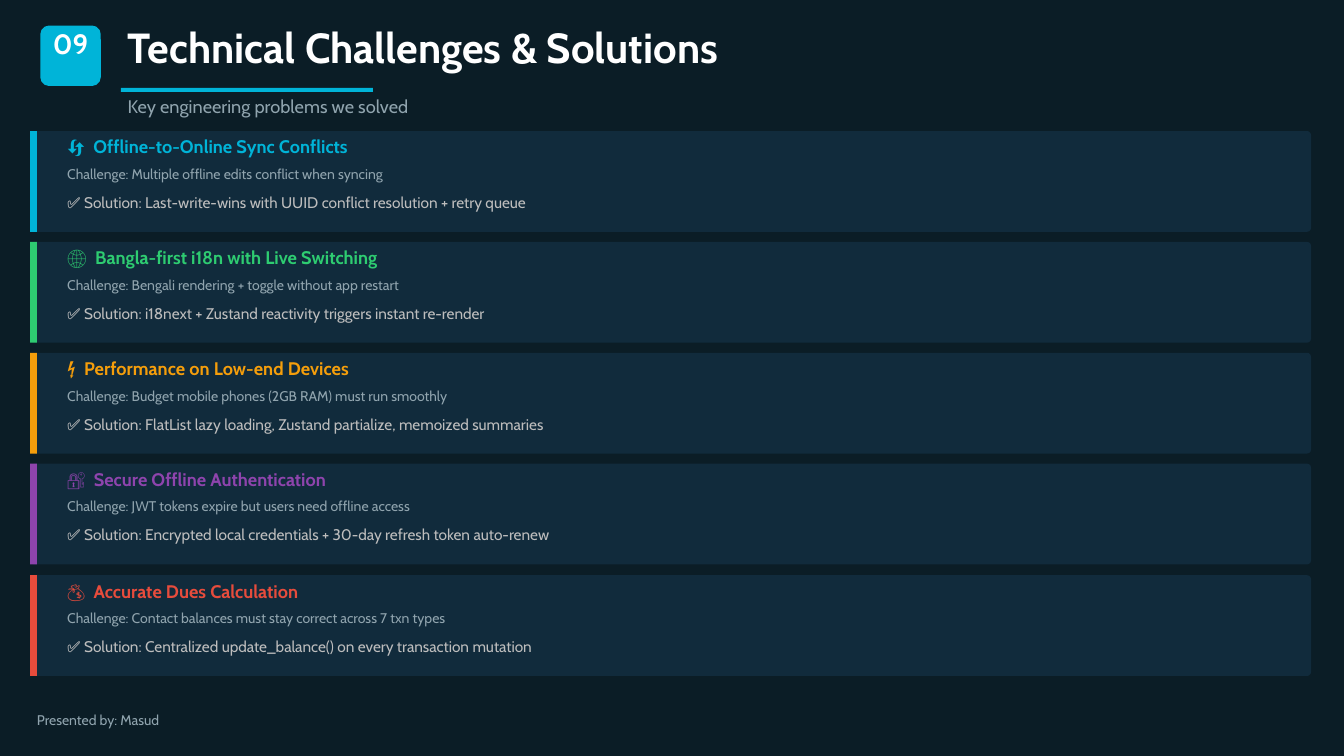
"""Build the technical challenges and solutions slide."""
from dataclasses import dataclass

from pptx import Presentation
from pptx import util as u
from pptx.dml.color import RGBColor
from pptx.enum import shapes, text

EMU_PER_PX = 9144
FONT = "Cabin"
COLORS = {
    "background": "0B1D26",
    "card": "112B3C",
    "white": "FFFFFF",
    "muted": "90A4AE",
    "light": "BDBDBD",
    "cyan": "00B4D8",
    "green": "2ECC71",
    "amber": "F59E0B",
    "purple": "8E44AD",
    "red": "E74C3C",
}
RECTANGLE = shapes.MSO_SHAPE.RECTANGLE
ROUNDED = shapes.MSO_SHAPE.ROUNDED_RECTANGLE
CARDS_TOP, CARDS_SPAN = 195, 661


@dataclass(frozen=True)
class Box:
    left: int
    top: int
    width: int
    height: int

    def emu(self) -> list[u.Emu]:
        return [u.Emu(px * EMU_PER_PX)
                for px in (self.left, self.top, self.width, self.height)]


@dataclass(frozen=True)
class Style:
    size: float
    color: str
    bold: bool = False
    align: text.PP_ALIGN = text.PP_ALIGN.LEFT


@dataclass(frozen=True)
class Card:
    color: str
    heading: str
    challenge: str
    solution: str


CARDS = [
    Card("cyan", "🔄  Offline-to-Online Sync Conflicts",
         "Multiple offline edits conflict when syncing",
         "Last-write-wins with UUID conflict resolution + retry queue"),
    Card("green", "🌐  Bangla-first i18n with Live Switching",
         "Bengali rendering + toggle without app restart",
         "i18next + Zustand reactivity triggers instant re-render"),
    Card("amber", "⚡  Performance on Low-end Devices",
         "Budget mobile phones (2GB RAM) must run smoothly",
         "FlatList lazy loading, Zustand partialize, memoized summaries"),
    Card("purple", "🔐  Secure Offline Authentication",
         "JWT tokens expire but users need offline access",
         "Encrypted local credentials + 30-day refresh token auto-renew"),
    Card("red", "💰  Accurate Dues Calculation",
         "Contact balances must stay correct across 7 txn types",
         "Centralized update_balance() on every transaction mutation"),
]


def rgb(color: str) -> RGBColor:
    return RGBColor.from_string(COLORS[color])


def write(frame, words: str, style: Style) -> None:
    frame.margin_left = frame.margin_top = 0
    frame.margin_right = frame.margin_bottom = 0
    frame.word_wrap = True
    frame.auto_size = text.MSO_AUTO_SIZE.NONE
    frame.vertical_anchor = text.MSO_ANCHOR.TOP
    frame.text = words
    paragraph = frame.paragraphs[0]
    paragraph.alignment = style.align
    paragraph.line_spacing = u.Pt(style.size * 1.2)
    paragraph.font.name = FONT
    paragraph.font.size = u.Pt(style.size)
    paragraph.font.bold = style.bold
    paragraph.font.color.rgb = rgb(style.color)


def add_text(slide, box: Box, words: str, style: Style) -> None:
    write(slide.shapes.add_textbox(*box.emu()).text_frame, words, style)


def add_block(slide, box: Box, color: str, radius: int = 0) -> None:
    kind = ROUNDED if radius else RECTANGLE
    block = slide.shapes.add_shape(kind, *box.emu())
    if radius:
        block.adjustments[0] = radius / min(box.width, box.height)
    block.shadow.inherit = False
    block.fill.solid()
    block.fill.fore_color.rgb = rgb(color)
    block.line.fill.background()


def add_card(slide, top: int, card: Card) -> None:
    add_block(slide, Box(45, top, 1906, 150), "card", radius=6)
    add_block(slide, Box(45, top, 10, 150), card.color)
    add_text(slide, Box(100, top + 7, 881, 33), card.heading,
             Style(19.5, card.color, bold=True))
    add_text(slide, Box(100, top + 51, 806, 32),
             f"Challenge: {card.challenge}", Style(15, "muted"))
    add_text(slide, Box(100, top + 92, 1811, 38),
             f"✅ Solution: {card.solution}", Style(16.5, "light"))


def add_header(slide) -> None:
    title = slide.shapes.title
    title.left, title.top, title.width, title.height = Box(190, 32, 1481, 83).emu()
    write(title.text_frame, "Technical Challenges & Solutions",
          Style(45, "white", bold=True))
    add_block(slide, Box(60, 38, 90, 90), "cyan", radius=13)
    add_text(slide, Box(70, 40, 70, 57), "09",
             Style(30, "white", bold=True, align=text.PP_ALIGN.CENTER))
    add_block(slide, Box(180, 131, 375, 6), "cyan")
    add_text(slide, Box(190, 142, 1481, 48),
             "Key engineering problems we solved", Style(19.5, "muted"))


def main() -> None:
    deck = Presentation()
    deck.slide_width, deck.slide_height = Box(0, 0, 2000, 1125).emu()[2:]
    slide = deck.slides.add_slide(deck.slide_layouts.get_by_name("Title Only"))
    slide.background.fill.solid()
    slide.background.fill.fore_color.rgb = rgb("background")

    add_header(slide)
    for index, card in enumerate(CARDS):
        top = CARDS_TOP + index * CARDS_SPAN // (len(CARDS) - 1)
        add_card(slide, top, card)
    add_text(slide, Box(55, 1059, 430, 47), "Presented by: Masud",
             Style(15, "muted"))
    deck.save("out.pptx")


if __name__ == "__main__":
    main()
